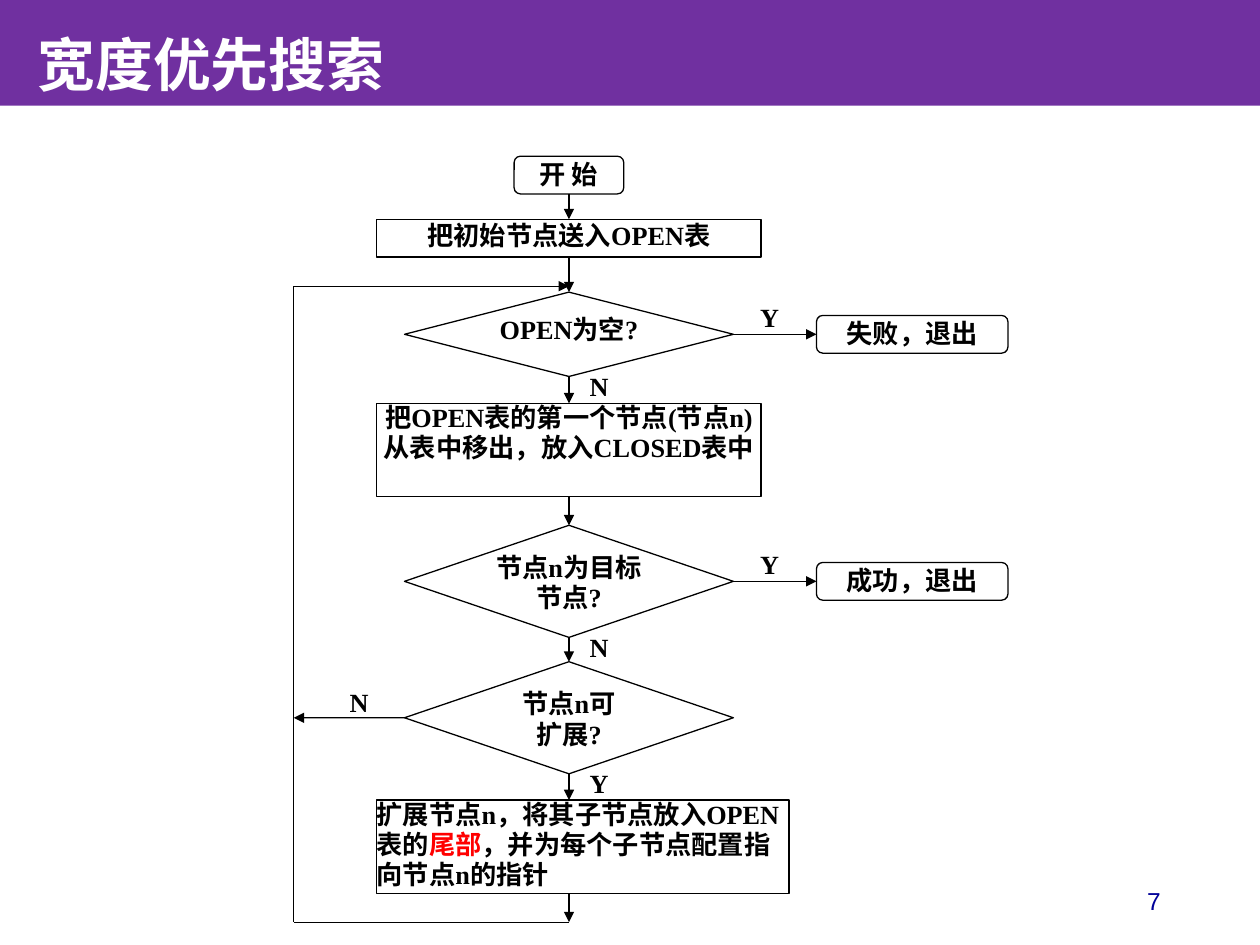
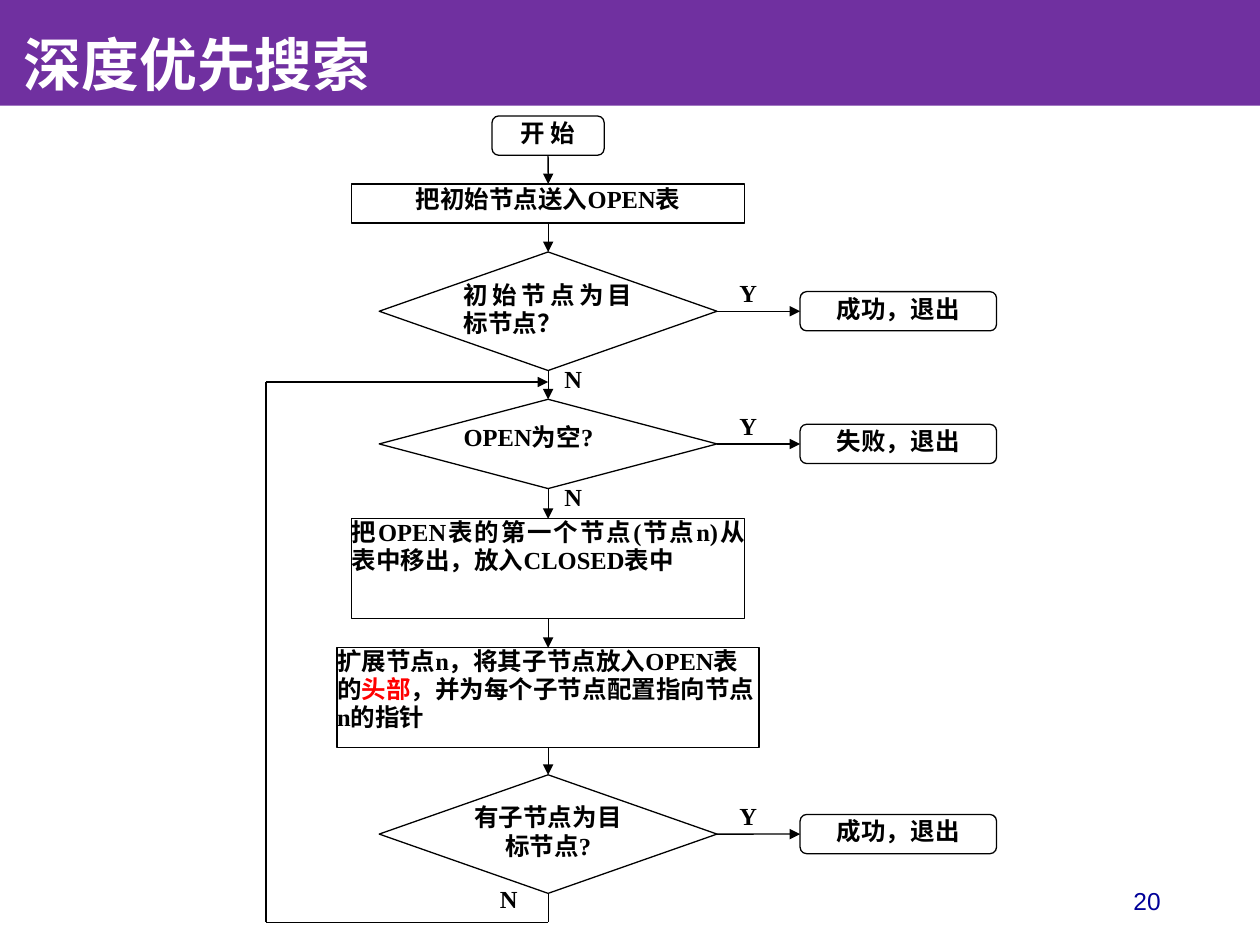
from dataclasses import dataclass
from typing import Any

from lxml.etree import SubElement
from pptx import Presentation
from pptx.dml.color import RGBColor
from pptx.enum.shapes import MSO_CONNECTOR, MSO_SHAPE as Kind
from pptx.enum.text import MSO_ANCHOR as Anchor, MSO_AUTO_SIZE as Auto, PP_ALIGN as Align
from pptx.oxml.ns import qn
from pptx.util import Cm, Pt

# Shared look
PURPLE, WHITE, BLACK, RED, NAVY = "7030A0", "FFFFFF", "000000", "FF0000", "000099"
SERIF, SANS = "Times New Roman", "Arial"
WIDE, HIGH = 25.4, 19.05
BAND = 2.13
FLOOR = 18.59
TOP, LEFT, BASE, RIGHT = range(4)
ROUND, RECT, GEM = Kind.FLOWCHART_ALTERNATE_PROCESS, Kind.RECTANGLE, Kind.DIAMOND


@dataclass
class Step:
    kind: Any
    text: str  # parts between bars are red
    top: float
    wide: float
    high: float
    align: Any = Align.CENTER
    gap: float = 1.0
    down: str = ""  # label of the arrow below
    out: str = ""  # text of the exit box on the right
    shift: float = 0.0


@dataclass
class Flow:
    title: str
    inset: float
    page: str
    size: int
    axis: float
    mark: Any  # alignment of the Y and N labels
    exit: tuple[float, float, float]  # left, width, height
    loop: tuple[float, float]  # left, top
    steps: list[Step]


def tint(code: str) -> RGBColor:
    return RGBColor.from_string(code)


def write(frame, text: str, *, size: float, font: str = SERIF, color: str = BLACK,
          bold: bool = True, align=Align.CENTER, gap: float = 1.0,
          anchor=Anchor.TOP, pad=(0, 0, 0, 0)) -> None:
    frame.word_wrap = True
    frame.auto_size = Auto.NONE
    frame.vertical_anchor = anchor
    (frame.margin_left, frame.margin_top,
     frame.margin_right, frame.margin_bottom) = map(Cm, pad)
    for row, line in enumerate(text.split("\n")):
        para = frame.add_paragraph() if row else frame.paragraphs[0]
        para.alignment, para.line_spacing = align, gap
        for turn, part in enumerate(line.split("|")):
            run = para.add_run()
            run.text = part
            run.font.name, run.font.size, run.font.bold = font, Pt(size), bold
            run.font.color.rgb = tint(RED if turn % 2 else color)


def label(slide, text: str, x: float, y: float, wide: float, high: float, **form) -> None:
    box = slide.shapes.add_textbox(Cm(x), Cm(y), Cm(wide), Cm(high))
    write(box.text_frame, text, **form)


def block(slide, kind, text: str, x: float, y: float, wide: float, high: float, **form):
    shape = slide.shapes.add_shape(kind, Cm(x), Cm(y), Cm(wide), Cm(high))
    shape.shadow.inherit = False
    shape.fill.background()
    shape.line.color.rgb = tint(BLACK)
    shape.line.width = Pt(0.75)
    write(shape.text_frame, text, **form)
    return shape


def wire(slide, start: tuple[float, float], end: tuple[float, float], *,
         arrow: bool = True, source=None, target=None) -> None:
    line = slide.shapes.add_connector(MSO_CONNECTOR.STRAIGHT, *map(Cm, (*start, *end)))
    line.line.color.rgb = tint(BLACK)
    line.line.width = Pt(0.75)
    props = line.element.spPr
    if arrow:
        SubElement(props.find(qn("a:ln")), qn("a:tailEnd"), type="triangle")
    SubElement(props, qn("a:effectLst"))
    if source:
        line.begin_connect(*source)
    if target:
        line.end_connect(*target)


def frame_up(deck, flow: Flow):
    """Add a slide with its title band and page number."""
    slide = deck.slides.add_slide(deck.slide_layouts[5])
    title = slide.shapes.title
    title.left, title.top, title.width, title.height = map(Cm, (0, 0, WIDE, BAND))
    title.fill.solid()
    title.fill.fore_color.rgb = tint(PURPLE)
    write(title.text_frame, flow.title, size=33, color=WHITE, align=Align.LEFT,
          gap=0.9, anchor=Anchor.BOTTOM, pad=(flow.inset, 0.13, 0.25, 0.13))
    label(slide, flow.page, 17.93, 17.65, 5.72, 1.02, size=14, font=SANS, color=NAVY,
          bold=False, align=Align.RIGHT, anchor=Anchor.MIDDLE, pad=(0.25, 0.13, 0.25, 0.13))
    return slide


def mark(slide, flow: Flow, text: str, x: float, y: float) -> None:
    label(slide, text, x, y, 0.56, 0.78, size=flow.size, align=flow.mark)


def draw(slide, flow: Flow) -> list:
    """Draw the column of steps, its exits and the loop back; return the steps."""
    axis, shapes = flow.axis, []
    for step in flow.steps:
        shape = block(slide, step.kind, step.text, axis - step.wide / 2 + step.shift,
                      step.top, step.wide, step.high,
                      size=flow.size, align=step.align, gap=step.gap)
        shapes.append(shape)
        if step.down:
            mark(slide, flow, step.down, axis + 0.33, step.top + step.high - 0.13)
        if step.out:
            left, wide, high = flow.exit
            mid, edge = step.top + step.high / 2, axis + step.wide / 2
            leave = block(slide, ROUND, step.out, left, mid - high / 2, wide, high,
                          size=flow.size)
            wire(slide, (edge, mid), (left, mid), source=(shape, RIGHT), target=(leave, LEFT))
            mark(slide, flow, "Y", edge + 0.45, mid - 0.66)

    # Arrows down the column
    for i, (step, after) in enumerate(zip(flow.steps, flow.steps[1:])):
        wire(slide, (axis, step.top + step.high), (axis, after.top),
             source=None if step.shift else (shapes[i], BASE),
             target=None if after.shift else (shapes[i + 1], TOP))

    # Loop back
    side, top = flow.loop
    wire(slide, (axis, FLOOR), (side, FLOOR), arrow=False)
    wire(slide, (side, FLOOR), (side, top), arrow=False)
    wire(slide, (side, top), (axis, top))
    return shapes


START, INIT, EMPTY = "开 始", "把初始节点送入OPEN表", "OPEN为空?"
TAKE = "把OPEN表的第一个节点(节点n)从表中移出，放入CLOSED表中"
GROW = "扩展节点n，将其子节点放入OPEN表的|{}|，并为每个子节点配置指向节点n的指针"
WIN, FAIL = "成功，退出", "失败，退出"

BREADTH = Flow(
    "宽度优先搜索", 0.76, "7", 15, 11.47, Align.CENTER, (16.46, 3.86, 0.76), (5.92, 5.77), [
        Step(ROUND, START, 3.15, 2.21, 0.76),
        Step(RECT, INIT, 4.42, 7.75, 0.76),
        Step(GEM, EMPTY, 5.89, 6.63, 1.7, down="N", out=FAIL),
        Step(RECT, TAKE, 8.13, 7.75, 1.88, gap=0.96),
        Step(GEM, "节点n为目标节点?", 10.59, 6.63, 2.26, gap=0.96, down="N", out=WIN),
        Step(GEM, "节点n可\n扩展?", 13.34, 6.63, 2.26, gap=0.96, down="Y"),
        Step(RECT, GROW.format("尾部"), 16.13, 8.31, 1.88, Align.LEFT, 0.96, shift=0.28),
    ])

DEPTH = Flow(
    "深度优先搜索", 0.48, "20", 14, 11.05, Align.JUSTIFY, (16.13, 3.96, 0.79), (5.36, 7.7), [
        Step(ROUND, START, 2.34, 2.26, 0.79),
        Step(RECT, INIT, 3.71, 7.92, 0.79),
        Step(GEM, "初始节点为目标节点？", 5.08, 6.81, 2.39, Align.JUSTIFY, 0.96,
             down="N", out=WIN),
        Step(GEM, EMPTY, 8.05, 6.81, 1.8, Align.JUSTIFY, down="N", out=FAIL),
        Step(RECT, TAKE, 10.46, 7.92, 2.01, Align.JUSTIFY, 0.96),
        Step(RECT, GROW.format("头部"), 13.06, 8.51, 2.01, Align.LEFT, 0.96),
        Step(GEM, "有子节点为目标节点?", 15.62, 6.81, 2.39, gap=0.96, out=WIN),
    ])


def main() -> None:
    deck = Presentation()
    deck.slide_width, deck.slide_height = Cm(WIDE), Cm(HIGH)

    # Breadth-first: the expand step and the N branch both feed the loop
    slide = frame_up(deck, BREADTH)
    shapes = draw(slide, BREADTH)
    last, test = BREADTH.steps[-1], BREADTH.steps[-2]
    wire(slide, (BREADTH.axis, last.top + last.high), (BREADTH.axis, FLOOR))
    mid = test.top + test.high / 2
    wire(slide, (BREADTH.axis - test.wide / 2, mid), (BREADTH.loop[0], mid),
         source=(shapes[-2], LEFT))
    mark(slide, BREADTH, "N", 6.96, mid - 0.64)

    # Depth-first: the last test feeds the loop
    slide = frame_up(deck, DEPTH)
    shapes = draw(slide, DEPTH)
    last = DEPTH.steps[-1]
    base = last.top + last.high
    wire(slide, (DEPTH.axis, base), (DEPTH.axis, FLOOR), arrow=False,
         source=(shapes[-1], BASE))
    mark(slide, DEPTH, "N", 10.08, base - 0.18)

    deck.save("out.pptx")


if __name__ == "__main__":
    main()
